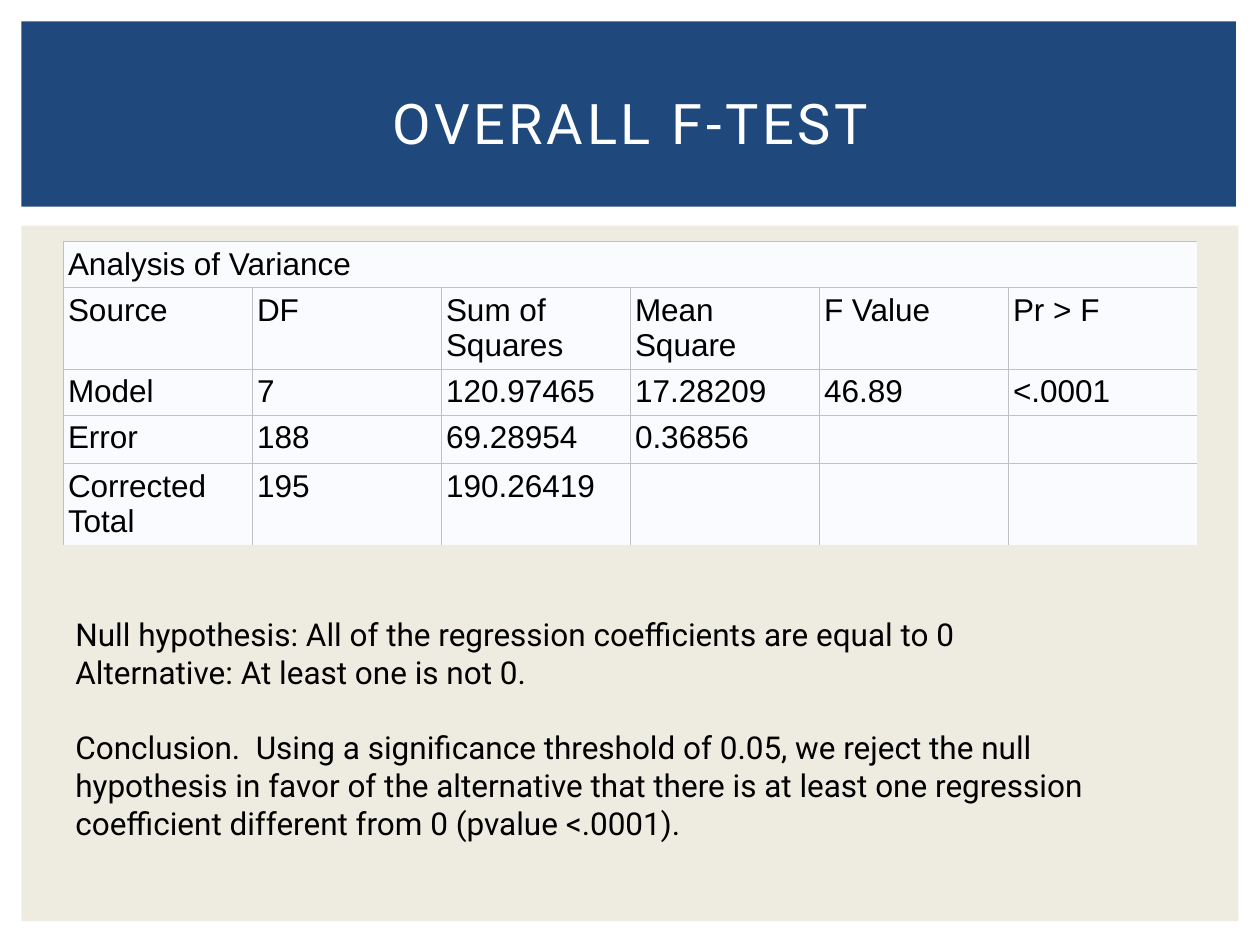
"""Build the overall F-test slide with its analysis of variance table."""
from typing import NamedTuple

from lxml.etree import SubElement
from pptx import Presentation
from pptx.dml.color import RGBColor
from pptx.enum.shapes import MSO_SHAPE as Preset
from pptx.enum.text import MSO_ANCHOR as Anchor, PP_ALIGN as Align
from pptx.oxml.ns import qn
from pptx.util import Inches, Pt

NAVY = RGBColor(0x1F, 0x49, 0x7D)
SAND = RGBColor(0xEE, 0xEC, 0xE1)
PALE = RGBColor(0xFA, 0xFB, 0xFE)
RULE = RGBColor(0xC1, 0xC1, 0xC1)
WHITE = RGBColor(0xFF, 0xFF, 0xFF)
BLACK = RGBColor(0, 0, 0)

WIDTH, HEIGHT = Inches(10), Inches(7.5)
COLUMNS, ROWS = 100, 75


class Area(NamedTuple):
    """A rectangle in columns and rows of the slide grid."""

    left: float
    top: float
    width: float
    height: float

    def emu(self) -> tuple[int, int, int, int]:
        """Return the rectangle as slide lengths."""
        across, down = WIDTH / COLUMNS, HEIGHT / ROWS
        return (round(self.left * across), round(self.top * down),
                round(self.width * across), round(self.height * down))


class Panel(NamedTuple):
    """A plain coloured background block."""

    area: Area
    colour: RGBColor


class Statement(NamedTuple):
    """A paragraph of the conclusion with the gap above it."""

    wording: str
    gap: float = 0


PANELS = (Panel(Area(1.7, 17.9, 96.6, 55.2), SAND),
          Panel(Area(1.7, 1.7, 96.4, 14.7), NAVY))
TITLE_AREA = Area(4.2, 3.9, 91.7, 11.5)
ANOVA_AREA = Area(5, 19.2, 90, 23.8)
STATEMENT_AREA = Area(5, 48.3, 90, 19.2)
ROW_HEIGHTS = (3.65, 6.45, 3.65, 3.6, 6.45)
ANOVA = (
    ("Analysis of Variance", "", "", "", "", ""),
    ("Source", "DF", "Sum of\nSquares", "Mean\nSquare", "F Value", "Pr > F"),
    ("Model", "7", "120.97465", "17.28209", "46.89", "<.0001"),
    ("Error", "188", "69.28954", "0.36856", "", ""),
    ("Corrected Total", "195", "190.26419", "", "", ""),
)
STATEMENTS = (
    Statement("Null hypothesis: All of the regression coefficients are equal to 0"),
    Statement("Alternative: At least one is not 0."),
    Statement("Conclusion.  Using a significance threshold of 0.05, we reject the null "
              "hypothesis in favor of the alternative that there is at least one "
              "regression coefficient different from 0 (pvalue <.0001).", 21.5),
)


def add_run(paragraph, wording: str, face: str, size: float, colour: RGBColor):
    """Add one formatted run and return it."""
    run = paragraph.add_run()
    run.text = wording
    run.font.name, run.font.size = face, Pt(size)
    run.font.color.rgb = colour
    return run


def add_panel(slide, panel: Panel) -> None:
    """Draw a background block."""
    block = slide.shapes.add_shape(Preset.RECTANGLE, *panel.area.emu())
    block.shadow.inherit = False
    block.fill.solid()
    block.fill.fore_color.rgb = panel.colour
    block.line.fill.background()


def set_title(slide, wording: str) -> None:
    """Place the title in front of the panels and format it."""
    title = slide.shapes.title
    slide.shapes._spTree.append(title._element)
    title.left, title.top, title.width, title.height = TITLE_AREA.emu()
    title.text_frame.vertical_anchor = Anchor.MIDDLE
    heading = title.text_frame.paragraphs[0]
    heading.alignment = Align.CENTER
    run = add_run(heading, wording, "Roboto", 32, WHITE)
    run.font._element.set("spc", "200")


def set_borders(cell, last_column: bool, last_row: bool) -> None:
    """Rule a cell, leaving the right and bottom table edges open."""
    properties = cell._tc.get_or_add_tcPr()
    edges = {"lnL": True, "lnR": not last_column, "lnT": True, "lnB": not last_row}
    for edge, ruled in edges.items():
        line = SubElement(properties, qn(f"a:{edge}"), w=str(Pt(0.6)))
        if ruled:
            fill = SubElement(line, qn("a:solidFill"))
            SubElement(fill, qn("a:srgbClr"), val=str(RULE))
        else:
            SubElement(line, qn("a:noFill"))


def fill_cell(cell, wording: str) -> None:
    """Colour a cell and write its lines."""
    cell.fill.solid()
    cell.fill.fore_color.rgb = PALE
    cell.margin_left = cell.margin_right = Inches(0.04)
    cell.margin_top = cell.margin_bottom = Inches(0.04)
    paragraph = cell.text_frame.paragraphs[0]
    paragraph.font.size = Pt(18)
    for number, part in enumerate(wording.split("\n") if wording else ()):
        if number:
            paragraph.add_line_break()
        add_run(paragraph, part, "Arial", 18, BLACK)


def add_anova(slide) -> None:
    """Add the analysis of variance table."""
    last_row, last_column = len(ANOVA) - 1, len(ANOVA[0]) - 1
    table = slide.shapes.add_table(len(ANOVA), len(ANOVA[0]), *ANOVA_AREA.emu()).table
    table.first_row = table.horz_banding = False
    for r, (entries, height) in enumerate(zip(ANOVA, ROW_HEIGHTS)):
        table.rows[r].height = round(height * HEIGHT / ROWS)
        for c, entry in enumerate(entries):
            set_borders(table.cell(r, c), c == last_column or r == 0, r == last_row)
            fill_cell(table.cell(r, c), entry)
    table.cell(0, 0).merge(table.cell(0, last_column))


def add_statements(slide) -> None:
    """Write the hypotheses and the conclusion."""
    frame = slide.shapes.add_textbox(*STATEMENT_AREA.emu()).text_frame
    frame.word_wrap = True
    for number, statement in enumerate(STATEMENTS):
        paragraph = frame.add_paragraph() if number else frame.paragraphs[0]
        if statement.gap:
            paragraph.space_before = Pt(statement.gap)
        add_run(paragraph, statement.wording, "Roboto", 18, BLACK)


def main() -> None:
    """Assemble and save the slide."""
    deck = Presentation()
    deck.slide_width, deck.slide_height = WIDTH, HEIGHT
    slide = deck.slides.add_slide(deck.slide_layouts[5])
    for panel in PANELS:
        add_panel(slide, panel)
    set_title(slide, "OVERALL F-TEST")
    add_anova(slide)
    add_statements(slide)
    deck.save("out.pptx")


if __name__ == "__main__":
    main()
